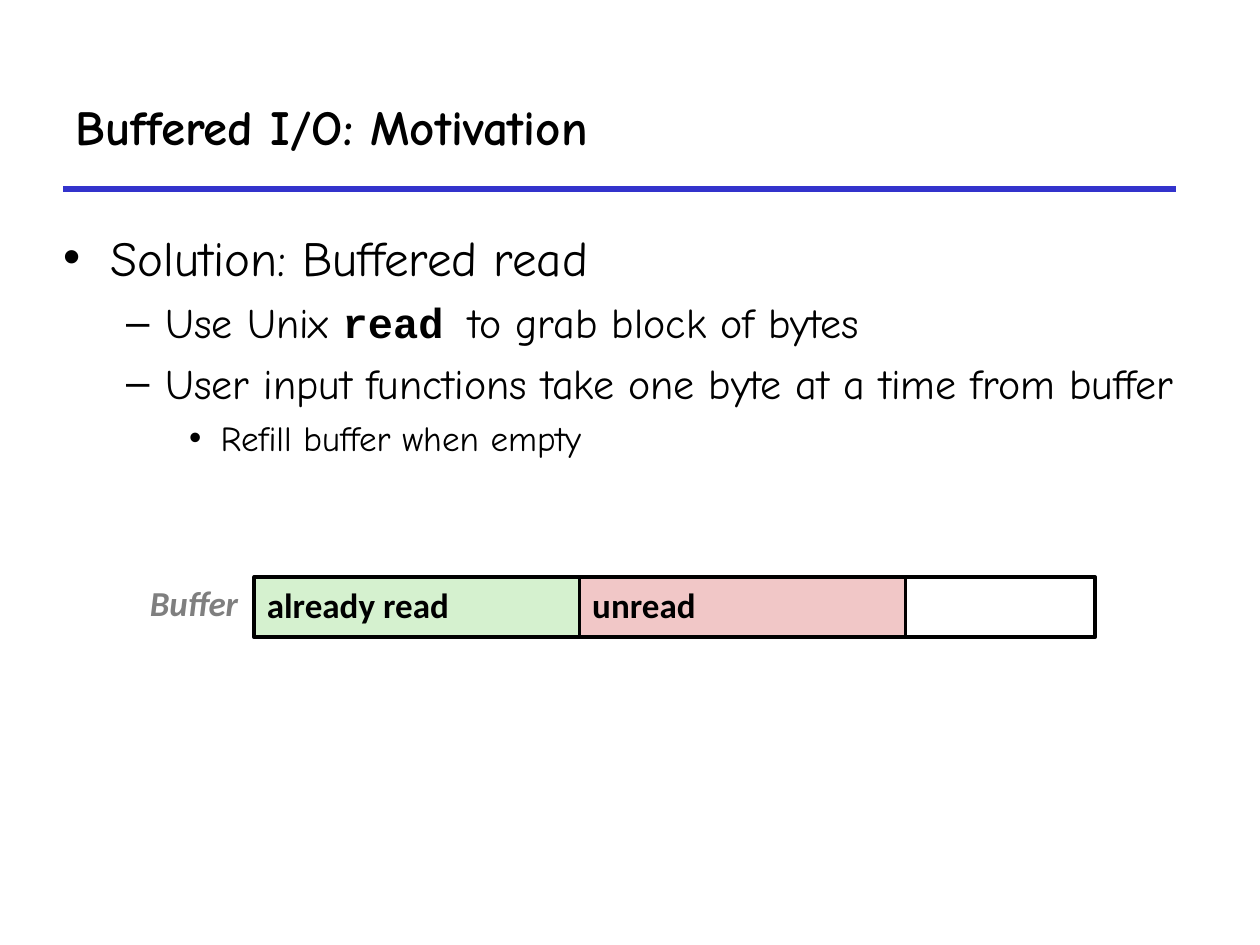
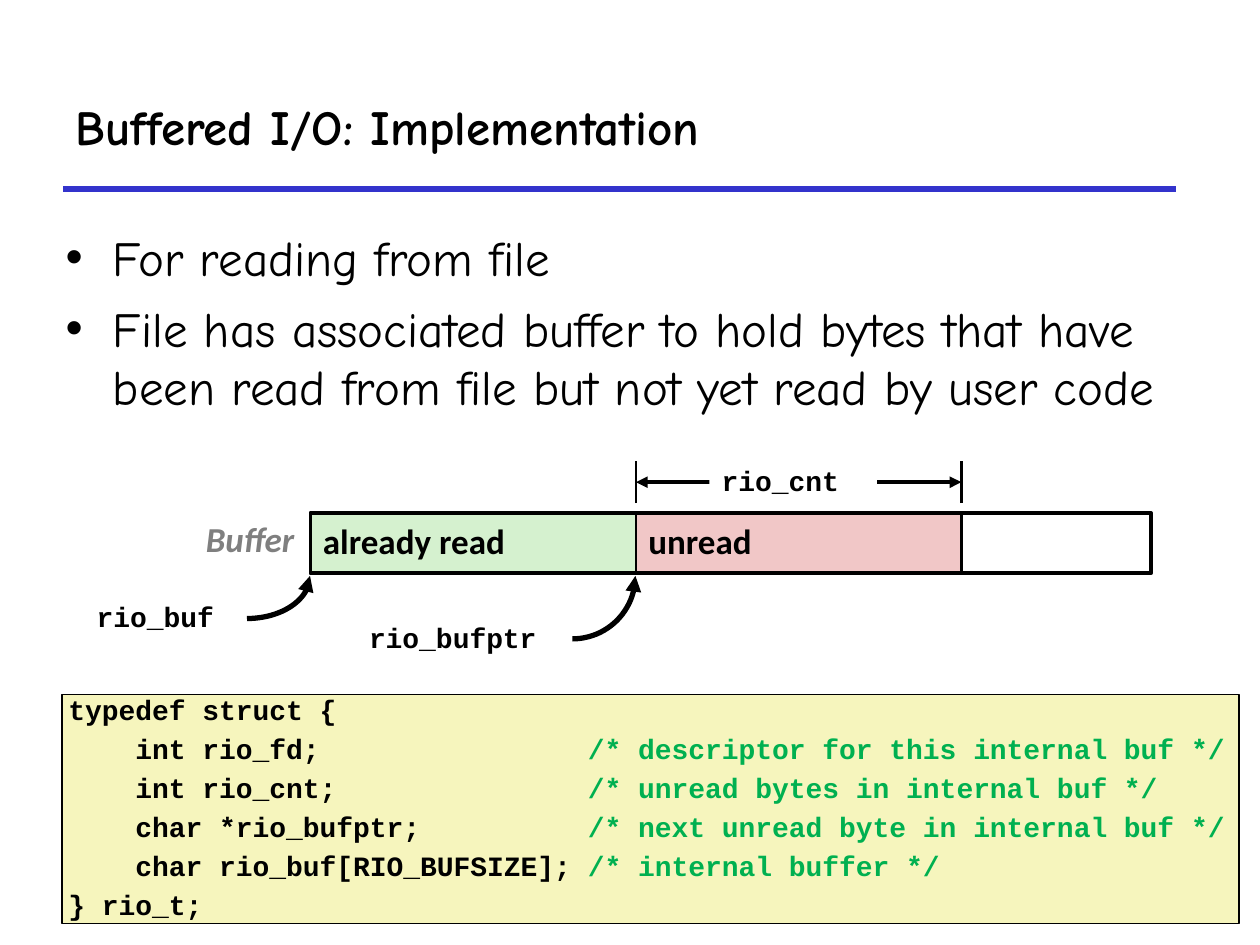
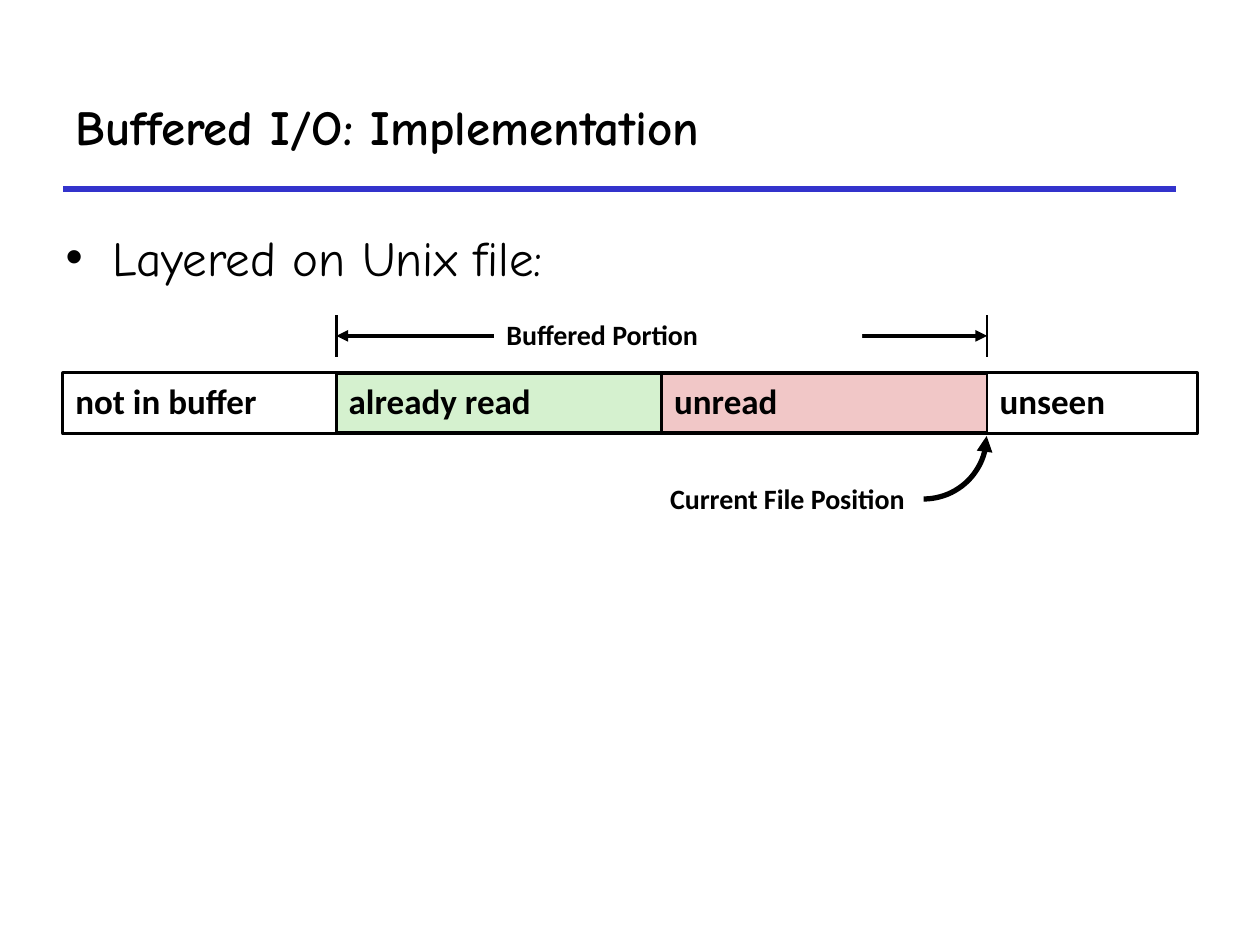
import dataclasses
import math

import lxml.etree
import pptx
import pptx.dml.color
import pptx.enum.shapes
import pptx.enum.text
import pptx.oxml.ns
import pptx.util

Cm = pptx.util.Cm
Pt = pptx.util.Pt
hue = pptx.dml.color.RGBColor.from_string
qn = pptx.oxml.ns.qn
align = pptx.enum.text.PP_ALIGN
anchor = pptx.enum.text.MSO_ANCHOR
rect = pptx.enum.shapes.MSO_SHAPE.RECTANGLE
straight = pptx.enum.shapes.MSO_CONNECTOR.STRAIGHT


@dataclasses.dataclass(frozen=True)
class Theme:
    ink: str = "000000"
    paper: str = "FFFFFF"
    rule: str = "3333CC"
    gray: str = "7F7F7F"
    green: str = "D5F1CF"
    pink: str = "F1C7C7"
    cream: str = "F6F5BD"
    remark: str = "00B050"
    hand: str = "Comic Neue"
    sans: str = "Calibri"
    mono: str = "Courier New"
    title: int = 28
    levels: tuple = (28, 24, 20)
    gaps: tuple = (7, 6, 5)
    cell: int = 20
    note: int = 16


theme = Theme()


def stroke(shape, color, width, ends=()):
    shape.line.color.rgb = hue(color)
    shape.line.width = Pt(width)
    line = shape.element.spPr.find(qn("a:ln"))
    for end in ends:
        lxml.etree.SubElement(line, qn(f"a:{end}"), type="triangle")
    if shape.element.spPr.find(qn("a:effectLst")) is None:
        lxml.etree.SubElement(shape.element.spPr, qn("a:effectLst"))


def box(slide, rows, place, size, face, fill=None, edge=0, inset=0.25,
        side=align.LEFT, slant=False):
    spot = [Cm(n) for n in place]
    if fill or edge:
        shape = slide.shapes.add_shape(rect, *spot)
        shape.shadow.inherit = False
        shape.fill.background()
        shape.line.fill.background()
    else:
        shape = slide.shapes.add_textbox(*spot)
    if fill:
        shape.fill.solid()
        shape.fill.fore_color.rgb = hue(fill)
    if edge:
        stroke(shape, theme.ink, edge)
    frame = shape.text_frame
    frame.word_wrap = True
    frame.vertical_anchor = anchor.MIDDLE
    frame.margin_left = frame.margin_right = Cm(inset)
    frame.margin_top = frame.margin_bottom = Cm(0.13)
    for i, row in enumerate(rows):
        para = frame.add_paragraph() if i else frame.paragraphs[0]
        para.alignment = side
        para.line_spacing = 0.9
        para.space_before = Pt(5 if i else 0)
        for text, color in row:
            run = para.add_run()
            run.text = text
            run.font.name = face
            run.font.size = Pt(size)
            run.font.bold = True
            run.font.italic = slant
            run.font.color.rgb = hue(color)


deck = pptx.Presentation()
deck.slide_width = Cm(25.4)
deck.slide_height = Cm(19.05)
layout = deck.slide_layouts[1]

pages = [
    ("Buffered I/O: Motivation", 1.02, 7.62, [
        (0, [("Solution: Buffered read", False)]),
        (1, [("Use Unix ", False), ("read ", True),
             ("to grab block of bytes", False)]),
        (1, [("User input functions take one byte at a time from buffer",
              False)]),
        (2, [("Refill buffer when empty", False)]),
    ]),
    ("Buffered I/O: Implementation", 1.07, 11, [
        (0, [("For reading from file", False)]),
        (0, [("File has associated buffer to hold bytes that have been read "
              "from file but not yet read by user code", False)]),
    ]),
    ("Buffered I/O: Implementation", 1.07, 11, [
        (0, [("Layered on Unix file:", False)]),
    ]),
]

for name, left, height, items in pages:
    slide = deck.slides.add_slide(layout)
    title, body = slide.placeholders
    title.left, title.top = Cm(1.27), Cm(1.27)
    title.width, title.height = Cm(22.43), Cm(2.54)
    title.text_frame.vertical_anchor = anchor.MIDDLE
    para = title.text_frame.paragraphs[0]
    para.alignment = align.LEFT
    run = para.add_run()
    run.text = name
    run.font.name = theme.hand
    run.font.size = Pt(theme.title)
    run.font.bold = True
    run.font.color.rgb = hue(theme.ink)

    body.left, body.top = Cm(left), Cm(4.45)
    body.width, body.height = Cm(23.09), Cm(height)
    frame = body.text_frame
    frame.auto_size = pptx.enum.text.MSO_AUTO_SIZE.NONE
    for i, (level, runs) in enumerate(items):
        para = frame.add_paragraph() if i else frame.paragraphs[0]
        para.level = level
        para.space_before = Pt(theme.gaps[level] if i else 0)
        for text, code in runs:
            run = para.add_run()
            run.text = text
            run.font.name = theme.mono if code else theme.hand
            run.font.size = Pt(theme.levels[level])
            run.font.bold = code
            run.font.color.rgb = hue(theme.ink)

    rule = slide.shapes.add_connector(
        straight, Cm(1.27), Cm(3.81), Cm(23.7), Cm(3.81))
    stroke(rule, theme.rule, 3)

first, second, third = deck.slides
tall, wide = 1.22, 6.56

bars = [
    (first, 5.13, 11.63, 5.13, 16.94, []),
    (second, 6.26, 10.34, 6.26, 16.94, []),
    (third, 6.78, 7.52, 1.27, 22.86,
     [("not in buffer", 1.27, 5.51), ("unseen", 19.9, 4.23)]),
]
for slide, left, top, start, span, outer in bars:
    parts = [("unread", left + wide, wide, theme.pink, 1.5),
             ("already read", left, wide, theme.green, 1.5),
             ("", start, span, None, 2.25)]
    parts += [(text, x, w, theme.paper, 1.5) for text, x, w in outer]
    for text, x, w, fill, edge in parts:
        rows = [[(text, theme.ink)]] if text else []
        box(slide, rows, (x, top, w, tall), theme.cell, theme.sans, fill, edge)
    if not outer:
        box(slide, [[("Buffer", theme.gray)]], (left - 2.36, top + 0.06, 2.4, 1.02),
            theme.cell, theme.sans, slant=True)

spans = [
    (second, "rio_cnt", theme.mono, 12.82, 19.38, 9.3, 14.3, 3.38),
    (third, "Buffered Portion", theme.sans, 6.78, 19.9, 6.35, 9.96, 7.42),
]
for slide, text, face, left, right, top, x, w in spans:
    mid, base = top + 0.42, top + 0.84
    for x1, y1, x2, y2, width, ends in [
            (left, base, left, top, 1.5, ()),
            (right, base, right, top, 1.5, ()),
            (left, mid, right, mid, 2.25, ("headEnd", "tailEnd"))]:
        line = slide.shapes.add_connector(
            straight, Cm(x1), Cm(y1), Cm(x2), Cm(y2))
        stroke(line, theme.ink, width, ends)
    box(slide, [[(text, theme.ink)]], (x, top, w, 0.86), theme.note, face,
        theme.paper)

marks = [
    (second, "rio_buf", theme.mono, 6.25, 11.61, 0.86,
     (1.7, 12.04, 2.9, 0.86), align.LEFT),
    (second, "rio_bufptr", theme.mono, 12.81, 11.61, 1.27,
     (7.19, 12.47, 4.45, 0.86), align.LEFT),
    (third, "Current File Position", theme.sans, 19.89, 8.79, 1.27,
     (11.3, 9.65, 7.19, 0.86), align.RIGHT),
]
steps = 24
for slide, text, face, tip, top, drop, place, side in marks:
    turns = [math.pi / 2 * i / steps for i in range(steps + 1)]
    points = [(Cm(tip - 1.27 + 1.27 * math.cos(t)),
               Cm(top + drop * math.sin(t))) for t in turns]
    path = slide.shapes.build_freeform(*points[0])
    path.add_line_segments(points[1:], close=False)
    curve = path.convert_to_shape()
    curve.shadow.inherit = False
    curve.fill.background()
    stroke(curve, theme.ink, 3, ["headEnd"])
    box(slide, [[(text, theme.ink)]], place, theme.note, face, side=side)

code = [
    ("typedef struct {", ""),
    ("    int rio_fd;", "/* descriptor for this internal buf */"),
    ("    int rio_cnt;", "/* unread bytes in internal buf */"),
    ("    char *rio_bufptr;", "/* next unread byte in internal buf */"),
    ("    char rio_buf[RIO_BUFSIZE];", "/* internal buffer */"),
    ("} rio_t;", ""),
]
rows = [[(text.ljust(31), theme.ink), (note, theme.remark)] if note
        else [(text, theme.ink)] for text, note in code]
box(second, rows, (1.25, 14, 23.73, 4.62), theme.note, theme.mono,
    theme.cream, 1, 0.13)

deck.save("out.pptx")
